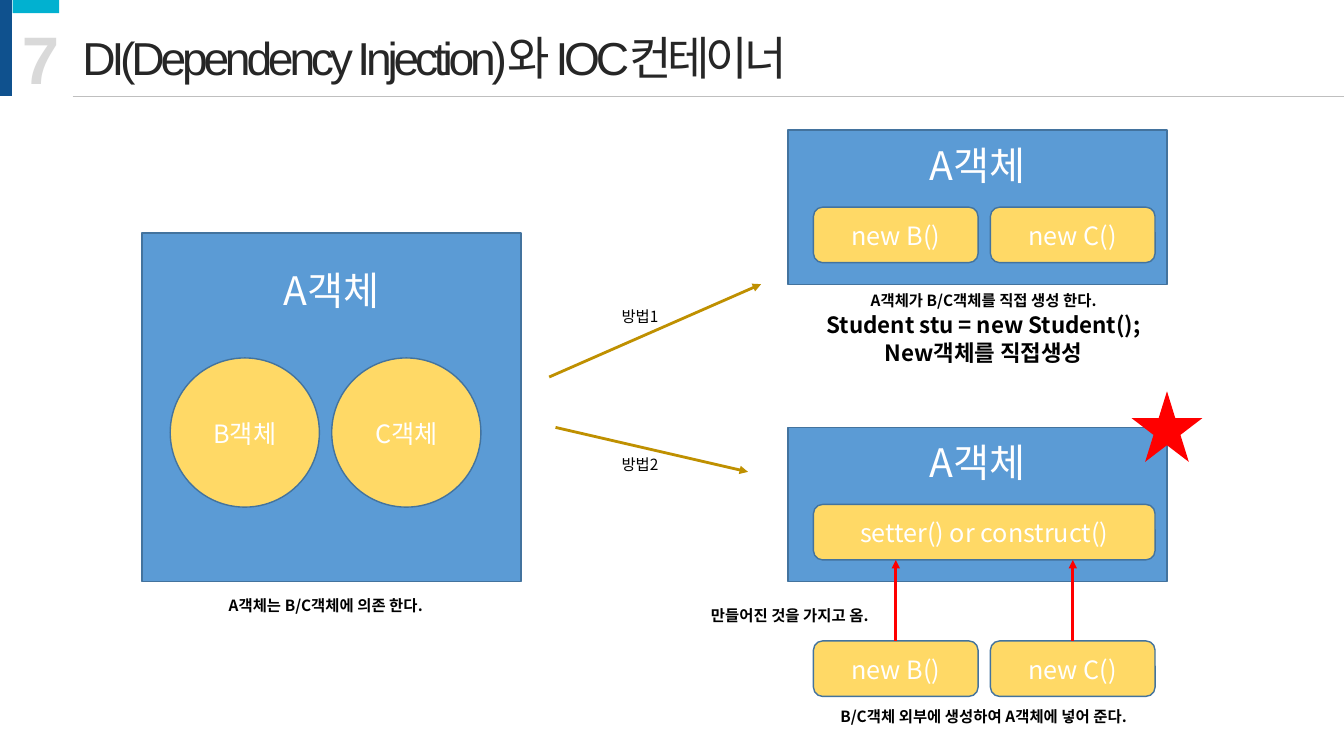
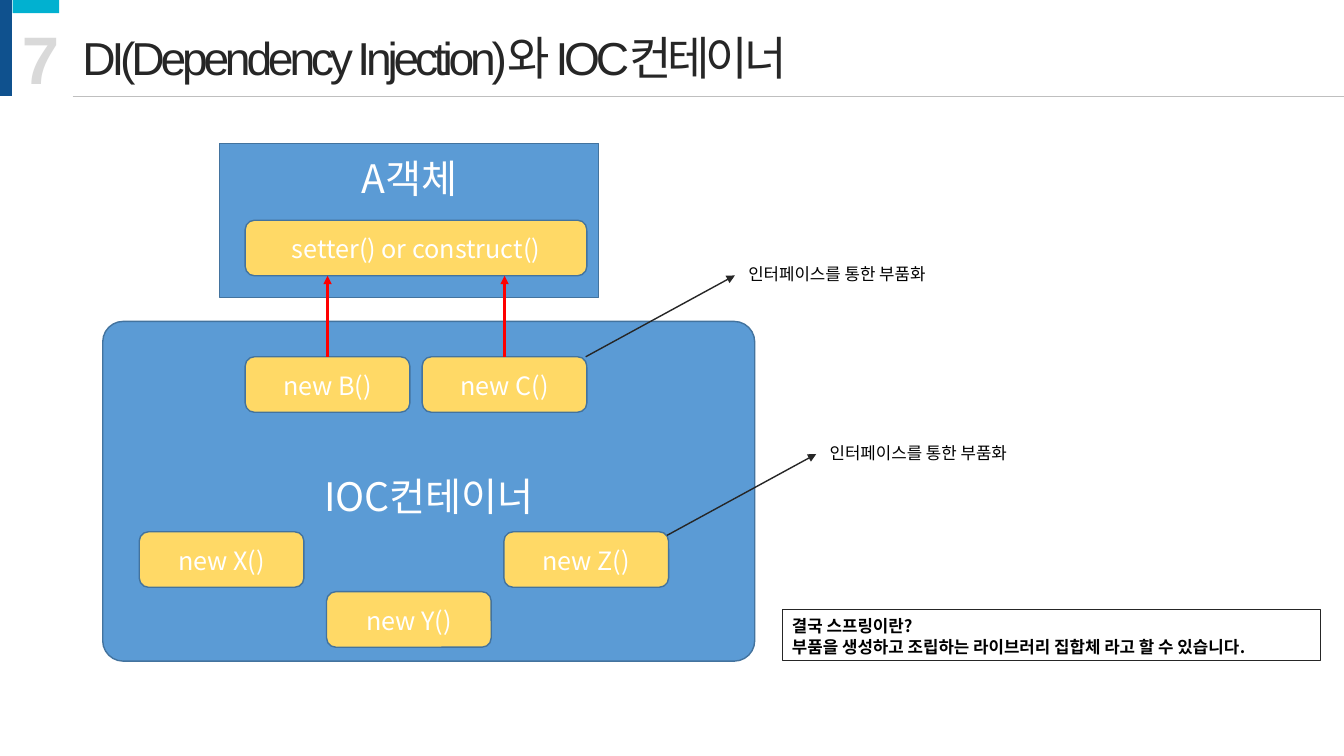
from lxml.etree import SubElement
from pptx import Presentation
from pptx.dml.color import RGBColor
from pptx.enum.shapes import MSO_CONNECTOR, MSO_SHAPE
from pptx.enum.text import MSO_ANCHOR, PP_ALIGN
from pptx.oxml.ns import qn
from pptx.util import Cm, Pt

COLORS = {
    "navy": "0F518E", "teal": "01B1D0", "blue": "5B9BD5", "outline": "43739E",
    "yellow": "FFD966", "gold": "BF9000", "red": "FF0000", "white": "FFFFFF",
    "black": "000000", "dark": "262626", "number": "D9D9D9", "rule": "BFBFBF",
}
BODY_FONT = "Noto Sans CJK KR"
TITLE_FONT = "Arial"
LINE_HEIGHT = 1.25

# Object box and button grid, in centimetres
BOX_W, BOX_H = 9.55, 3.89
BUTTON_W, BUTTON_H, BUTTON_PITCH = 4.15, 1.4, 4.46
BUTTON_DX, BUTTON_DY = 0.64, 1.94
OUTSIDE_DY = 5.38


def rgb(name):
    return RGBColor.from_string(COLORS[name])


def write(frame, text, size=11, color="black", bold=False, font=BODY_FONT,
          align=PP_ALIGN.CENTER, anchor=MSO_ANCHOR.TOP, spacing=None,
          inset=None, wrap=True):
    """Fill a frame, one paragraph per line; size is one value or one per line."""
    lines = text.split("\n")
    sizes = size if isinstance(size, tuple) else (size,) * len(lines)
    frame.word_wrap = wrap
    frame.vertical_anchor = anchor
    if inset is not None:
        frame.margin_top = Cm(inset)
    for index, (line, points) in enumerate(zip(lines, sizes)):
        paragraph = frame.add_paragraph() if index else frame.paragraphs[0]
        paragraph.alignment = align
        paragraph.line_spacing = Pt(points * LINE_HEIGHT)
        run = paragraph.add_run()
        run.text = line
        run.font.size = Pt(points)
        run.font.bold = bold
        run.font.color.rgb = rgb(color)
        run.font.name = font
        properties = run.font._element
        SubElement(properties, qn("a:ea")).set("typeface", BODY_FONT)
        if spacing is not None:
            properties.set("spc", str(spacing * 100))


def label(slide, text, left, top, width, height=0.74, **text_format):
    caption = slide.shapes.add_textbox(Cm(left), Cm(top), Cm(width), Cm(height))
    write(caption.text_frame, text, **text_format)


def block(slide, left, top, width, height, kind=MSO_SHAPE.RECTANGLE,
          fill=None, line=None, line_width=1):
    shape = slide.shapes.add_shape(kind, Cm(left), Cm(top), Cm(width), Cm(height))
    shape.shadow.inherit = False
    if fill:
        shape.fill.solid()
        shape.fill.fore_color.rgb = rgb(fill)
    else:
        shape.fill.background()
    if line:
        shape.line.color.rgb = rgb(line)
        shape.line.width = Pt(line_width)
    else:
        shape.line.fill.background()
    return shape


def connect(slide, start, end, color, width, arrow=True):
    line = slide.shapes.add_connector(
        MSO_CONNECTOR.STRAIGHT, *(Cm(value) for value in (*start, *end)))
    line.line.color.rgb = rgb(color)
    line.line.width = Pt(width)
    if arrow:
        SubElement(line.line._get_or_add_ln(), qn("a:tailEnd")).set("type", "triangle")
    SubElement(line._element.spPr, qn("a:effectLst"))
    return line


def object_box(slide, left, top, height=BOX_H, inset=0.22):
    box = block(slide, left, top, BOX_W, height, fill="blue", line="outline")
    write(box.text_frame, "A객체", size=28, color="white", inset=inset)


def part(slide, text, left, top, width=BUTTON_W, height=BUTTON_H,
         kind=MSO_SHAPE.ROUNDED_RECTANGLE):
    shape = block(slide, left, top, width, height, kind, "yellow", "outline")
    write(shape.text_frame, text, size=18, color="white", anchor=MSO_ANCHOR.MIDDLE)
    return shape


def new_parts(slide, left, top):
    return [part(slide, f"new {name}()", left + index * BUTTON_PITCH, top)
            for index, name in enumerate("BC")]


def injected_object(slide, left, top):
    """Object A whose parts are made outside and handed in from below."""
    object_box(slide, left, top)
    column, setter_top = left + BUTTON_DX, top + BUTTON_DY
    part(slide, "setter() or construct()", column, setter_top,
         width=BUTTON_PITCH + BUTTON_W)
    for index, outside in enumerate(new_parts(slide, column, top + OUTSIDE_DY)):
        middle = column + index * BUTTON_PITCH + BUTTON_W / 2
        arrow = connect(slide, (middle, top + OUTSIDE_DY),
                        (middle, setter_top + BUTTON_H), "red", 2)
        arrow.begin_connect(outside, 0)


def interface_note(slide, x, y):
    connect(slide, (x, y), (x + 3.76, y - 2.05), "dark", 1)
    label(slide, "인터페이스를 통한 부품화", x + 3.44, y - 2.49, 5.79, size=12)


def new_slide(deck):
    slide = deck.slides.add_slide(deck.slide_layouts[6])
    block(slide, 0, 0, 0.3, 2.42, fill="navy")
    block(slide, 0.32, 0, 1.17, 0.33, fill="teal")
    label(slide, "DI(Dependency Injection)와 IOC컨테이너", 1.83, 0.56, 30.91, 1.7,
          size=33, color="dark", font=TITLE_FONT, align=PP_ALIGN.LEFT, spacing=-3)
    label(slide, "7", 0.3, 0.23, 1.47, 2.31, size=48, color="number", bold=True,
          font=TITLE_FONT, align=PP_ALIGN.LEFT, wrap=False)
    connect(slide, (1.83, 2.42), (33.87, 2.42), "rule", 0.5, arrow=False)
    return slide


def dependency_slide(deck):
    slide = new_slide(deck)

    # Object A depends on B and C
    object_box(slide, 3.58, 5.87, height=8.79, inset=0.78)
    for index, name in enumerate("BC"):
        part(slide, f"{name}객체", 4.29 + index * 4.07, 9.02, 3.76, 3.76, MSO_SHAPE.OVAL)
    label(slide, "A객체는 B/C객체에 의존 한다.", 3.28, 14.88, 9.86, bold=True)

    # Two ways to get the parts
    connect(slide, (13.84, 9.5), (19.18, 7.16), "gold", 2)
    connect(slide, (14, 10.77), (18.85, 11.89), "gold", 2)
    label(slide, "방법1", 15.14, 7.59, 1.98)
    label(slide, "방법2", 15.14, 11.33, 1.98)

    # Way 1: A creates its parts
    right, first_top, second_top = 19.86, 3.28, 10.77
    object_box(slide, right, first_top)
    new_parts(slide, right + BUTTON_DX, first_top + BUTTON_DY)
    label(slide, "A객체가 B/C객체를 직접 생성 한다.\nStudent stu = new Student();\nNew객체를 직접생성",
          right, 7.19, 9.86, 2.08, size=(11, 16, 16), bold=True)

    # Way 2: the parts are injected
    injected_object(slide, right, second_top)
    label(slide, "B/C객체 외부에 생성하여 A객체에 넣어 준다.", right, 17.68, 9.86, bold=True)
    label(slide, "만들어진 것을 가지고 옴.", 17.2, 15.14, 5.41, bold=True)
    block(slide, 28.52, 9.86, 1.78, 1.78, MSO_SHAPE.STAR_5_POINT, fill="red")


def container_slide(deck):
    slide = new_slide(deck)

    # Container with its parts
    container = block(slide, 2.59, 8.1, 16.43, 8.56, MSO_SHAPE.ROUNDED_RECTANGLE,
                      "blue", "outline")
    container.adjustments[0] = 0.06
    injected_object(slide, 5.54, 3.61)
    label(slide, "IOC컨테이너", 7.29, 11.73, 7.04, 1.45, size=28, color="white")
    for name, left, top in (("X", 3.51, 13.4), ("Y", 8.23, 14.91), ("Z", 12.7, 13.4)):
        part(slide, f"new {name}()", left, top)

    # Notes and summary
    interface_note(slide, 14.76, 8.99)
    interface_note(slide, 16.81, 13.49)
    summary = block(slide, 19.71, 15.37, 13.56, 1.28, line="dark", line_width=0.75)
    write(summary.text_frame,
          "결국 스프링이란?\n부품을 생성하고 조립하는 라이브러리 집합체 라고 할 수 있습니다.",
          size=12, bold=True, align=PP_ALIGN.LEFT)


def main():
    deck = Presentation()
    deck.slide_width, deck.slide_height = Cm(33.87), Cm(19.05)
    dependency_slide(deck)
    container_slide(deck)
    deck.save("out.pptx")


if __name__ == "__main__":
    main()
